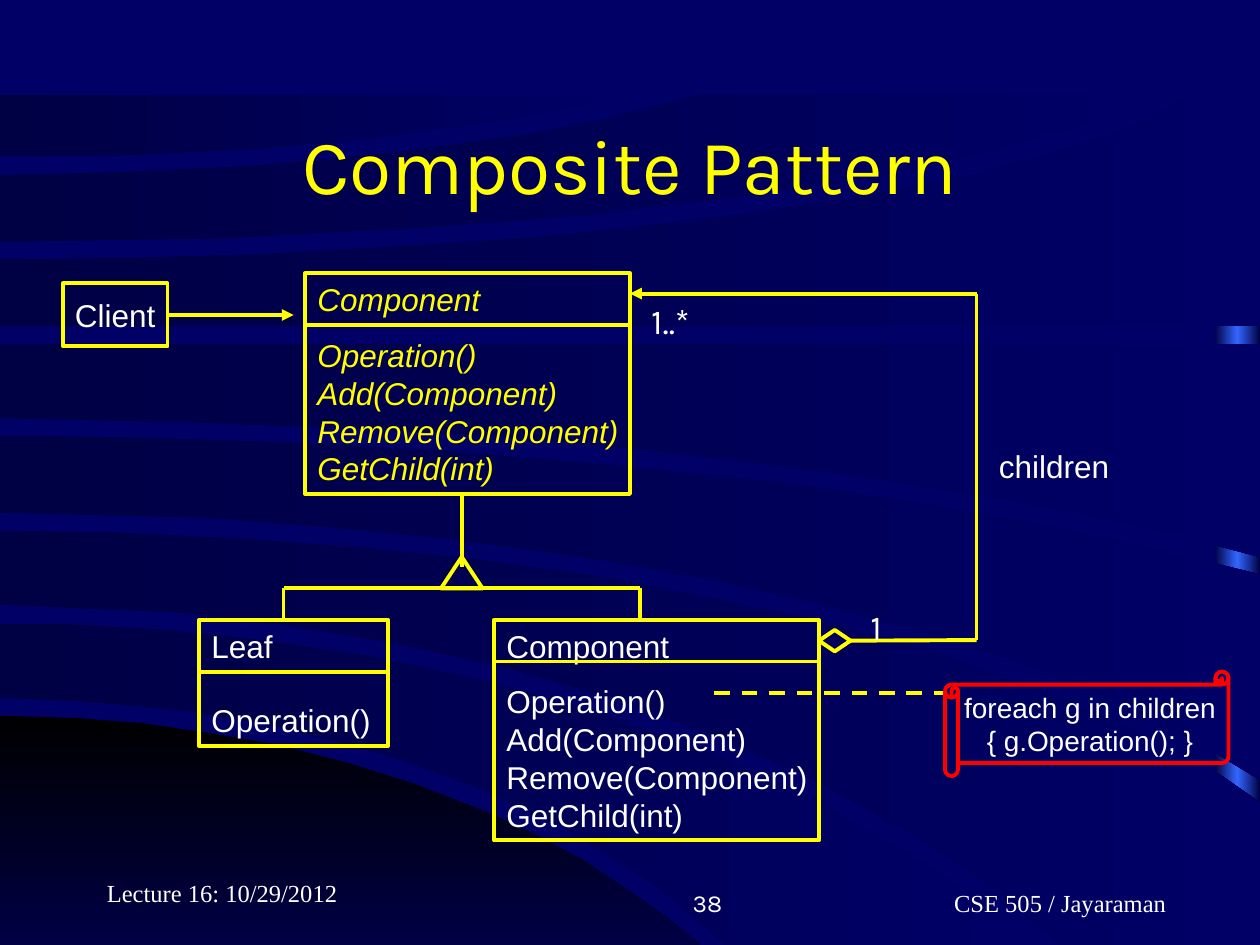
from copy import deepcopy
from dataclasses import dataclass

from lxml import etree
from pptx import Presentation
from pptx.dml.color import RGBColor
from pptx.enum.dml import MSO_LINE
from pptx.enum.shapes import MSO_CONNECTOR, MSO_SHAPE
from pptx.enum.text import MSO_ANCHOR, PP_ALIGN
from pptx.oxml.ns import qn
from pptx.util import Inches, Pt

LEFT, MID, RIGHT = PP_ALIGN.LEFT, PP_ALIGN.CENTER, PP_ALIGN.RIGHT
TOP, CENTRE, BASE = MSO_ANCHOR.TOP, MSO_ANCHOR.MIDDLE, MSO_ANCHOR.BOTTOM
RECT, SCROLL = MSO_SHAPE.RECTANGLE, MSO_SHAPE.HORIZONTAL_SCROLL
HEIR, DIAMOND = MSO_SHAPE.FLOWCHART_EXTRACT, MSO_SHAPE.FLOWCHART_DECISION
STRAIGHT, DASH = MSO_CONNECTOR.STRAIGHT, MSO_LINE.DASH


@dataclass(frozen=True)
class Theme:
    back: str = "000066"
    deep: str = "000044"
    glow: str = "3366FF"
    black: str = "000000"
    ink: str = "FFFFFF"
    accent: str = "FFFF00"
    alert: str = "FF0000"
    sans: str = "Arial"
    head: str = "Karla"
    serif: str = "Times New Roman"
    title: int = 44
    mark: int = 20
    body: int = 18
    note: int = 16
    foot: int = 14
    line: float = 2.25


T = Theme()
METHODS = ["Operation()", "Add(Component)", "Remove(Component)", "GetChild(int)"]

HILL = [(0, 7.5), (0, 5.68), (0.62, 5.7), (1.13, 5.74), (1.66, 5.82), (2.19, 5.91),
        (2.77, 6.06), (3.28, 6.22), (3.87, 6.45), (4.26, 6.63), (4.63, 6.83),
        (4.96, 7.05), (5.29, 7.28), (5.56, 7.5)]
BANDS = [
    [(0, 4.95), (0.44, 4.95), (1.31, 5), (2.07, 5.08), (2.95, 5.21), (3.83, 5.4),
     (4.73, 5.65), (5.62, 5.97), (6.45, 6.34), (7.28, 6.81), (7.67, 7.07),
     (8.03, 7.35), (8.2, 7.5), (5.77, 7.5), (5.24, 7.05), (4.55, 6.61),
     (3.77, 6.24), (3.07, 5.99), (2.22, 5.77), (1.49, 5.64), (0.6, 5.56), (0, 5.54)],
    [(0, 4.21), (0.98, 4.23), (1.96, 4.28), (2.9, 4.35), (3.85, 4.45), (4.76, 4.58),
     (5.71, 4.76), (6.57, 4.95), (7.39, 5.17), (8.19, 5.45), (9.05, 5.81),
     (9.7, 6.16), (10, 6.37), (10, 7.5), (8.42, 7.5), (7.81, 6.99), (7.21, 6.6),
     (6.37, 6.14), (5.62, 5.82), (4.83, 5.53), (4.06, 5.31), (3.12, 5.1),
     (2.22, 4.95), (1.41, 4.86), (0, 4.8)],
    [(0, 3.46), (0.9, 3.47), (2.2, 3.51), (3.51, 3.58), (4.8, 3.69), (6.17, 3.83),
     (7.15, 3.97), (8.17, 4.15), (9.06, 4.33), (10, 4.56), (10, 6.19), (9.52, 5.9),
     (8.82, 5.54), (8.18, 5.29), (7.44, 5.04), (6.42, 4.77), (5.61, 4.59),
     (4.64, 4.42), (3.52, 4.27), (2.56, 4.18), (1.68, 4.11), (0, 4.07)],
    [(0, 2.73), (10, 2.73), (10, 4.42), (9.16, 4.2), (8.14, 3.99), (7.03, 3.81),
     (6.08, 3.68), (5.03, 3.56), (3.9, 3.46), (2.79, 3.4), (1.48, 3.35), (0, 3.32)],
    [(0, 2.06), (0.94, 2.05), (2.04, 2.02), (3.3, 1.95), (4.21, 1.89), (5.09, 1.8),
     (5.98, 1.69), (6.85, 1.56), (7.72, 1.39), (8.36, 1.21), (8.93, 1.03),
     (9.21, 0.9), (9.44, 0.75), (10, 0.75), (10, 2.59), (0, 2.59)],
    [(0, 1.39), (0.88, 1.37), (1.98, 1.32), (3.09, 1.22), (4.17, 1.07), (4.83, 0.94),
     (5.57, 0.75), (9.18, 0.75), (8.55, 1.01), (7.73, 1.23), (6.84, 1.42),
     (5.78, 1.57), (4.7, 1.7), (3.42, 1.8), (1.78, 1.89), (0, 1.92)],
    [(0, 0.75), (5.02, 0.75), (4.01, 0.95), (2.9, 1.1), (2.03, 1.18), (1.02, 1.23),
     (0, 1.24)],
]


def rgb(code):
    return RGBColor.from_string(code)


def blend(shape, codes, angle=0):
    """Fill with evenly spaced gradient colours and no outline."""
    shape.shadow.inherit = False
    shape.line.fill.background()
    shape.fill.gradient()
    shape.fill.gradient_angle = angle
    stops = shape._element.spPr.find(".//" + qn("a:gsLst"))
    for _ in codes[2:]:
        stops.append(deepcopy(stops[0]))
    for i, (stop, code) in enumerate(zip(shape.fill.gradient_stops, codes)):
        stop.position = i / (len(codes) - 1)
        stop.color.rgb = rgb(code)


def outline(slide, points):
    pairs = [(Inches(x), Inches(y)) for x, y in points]
    pen = slide.shapes.build_freeform(*pairs[0])
    pen.add_line_segments(pairs[1:])
    return pen.convert_to_shape()


def backdrop(slide):
    slide.background.fill.solid()
    slide.background.fill.fore_color.rgb = rgb(T.back)
    edge = slide.shapes.add_shape(RECT, Inches(9.64), Inches(0.77), Inches(0.36), Inches(6.73))
    blend(edge, [T.deep, T.glow, T.deep])
    blend(outline(slide, HILL), [T.black, T.deep], 270)
    for band in BANDS:
        blend(outline(slide, band), [T.deep, T.back])


def write(shape, lines, size, font=T.sans, color=T.ink, align=LEFT, anchor=CENTRE,
          wrap=False, italic=False):
    frame = shape.text_frame
    frame.text = "\n".join(lines)
    frame.word_wrap = wrap
    frame.vertical_anchor = anchor
    for para in frame.paragraphs:
        para.alignment = align
        for run in para.runs:
            run.font.size, run.font.name = Pt(size), font
            run.font.color.rgb, run.font.italic = rgb(color), italic


def label(slide, box, text, size, **look):
    area = slide.shapes.add_textbox(*map(Inches, box))
    write(area, [text], size, **look)


def frame(slide, box, kind=RECT, color=T.accent):
    shape = slide.shapes.add_shape(kind, *map(Inches, box))
    shape.shadow.inherit = False
    shape.fill.background()
    shape.line.color.rgb = rgb(color)
    shape.line.width = Pt(T.line)
    return shape


def link(slide, start, end, arrow=False, dash=False):
    wire = slide.shapes.add_connector(STRAIGHT, *map(Inches, start + end))
    wire.line.color.rgb = rgb(T.accent)
    wire.line.width = Pt(T.line)
    if dash:
        wire.line.dash_style = DASH
    if arrow:
        etree.SubElement(wire.line._get_or_add_ln(), qn("a:tailEnd"), type="triangle")
    etree.SubElement(wire._element.spPr, qn("a:effectLst"))
    return wire


def entity(slide, box, name, methods, head, gap, **look):
    """Class box: a name, a dividing line, then methods after a gap in points."""
    x, y, w, _ = box
    shape = frame(slide, box)
    write(shape, [name] + methods, T.body, **look)
    shape.text_frame.paragraphs[1].space_before = Pt(gap)
    link(slide, (x, y + head), (x + w, y + head))


def diagram(slide, box):
    x, y = box[:2]

    def at(dx, dy):
        return x + dx, y + dy

    entity(slide, (*at(1.92, 0), 2.58, 1.75), "Component", METHODS, 0.41, 10.3,
           color=T.accent, italic=True)
    entity(slide, (*at(3.42, 2.75), 2.58, 1.75), "Component", METHODS, 0.33, 10.3)
    entity(slide, (*at(1.08, 2.75), 1.5, 1), "Leaf", METHODS[:1], 0.41, 20.7)

    client = frame(slide, (*at(0, 0.08), 0.83, 0.5))
    write(client, ["Client"], T.body, align=MID)
    link(slide, at(0.83, 0.33), at(1.83, 0.33), arrow=True).begin_connect(client, 3)

    for dx in (1.75, 4.58):
        link(slide, at(dx, 2.5), at(dx, 2.75))
    link(slide, at(1.75, 2.5), at(4.58, 2.5))
    frame(slide, (*at(3, 2.25), 0.33, 0.25), HEIR)
    link(slide, at(3.17, 2.33), at(3.17, 1.75))

    link(slide, at(7.25, 0.16), at(4.5, 0.16), arrow=True)
    link(slide, at(7.25, 0.16), at(7.25, 2.91))
    whole = frame(slide, (*at(6, 2.83), 0.25, 0.17), DIAMOND)
    link(slide, at(7.25, 2.91), at(6.25, 2.91)).end_connect(whole, 3)
    label(slide, (*at(7.33, 1.33), 1.42, 0.4), "children", T.body, anchor=TOP, wrap=True)
    label(slide, (*at(6.31, 2.59), 0.36, 0.44), "1", T.mark, font=T.head, anchor=TOP)
    label(slide, (*at(4.57, 0.16), 0.66, 0.44), "1..*", T.mark, font=T.head, anchor=TOP)

    link(slide, at(5.17, 3.33), at(7, 3.33), dash=True)
    note = frame(slide, (*at(7, 3.16), 2.25, 0.83), SCROLL, T.alert)
    write(note, ["foreach g in children", "{ g.Operation(); }"], T.note, align=MID)


def footer(slide, box):
    x, y, w, h = box
    look = dict(anchor=BASE, wrap=True)
    label(slide, (x, y, 2.08, h), "Lecture 16: 10/29/2012", T.foot, font=T.serif, **look)
    label(slide, (x + 3, y + 0.08, 2.08, h), "38", T.foot, font=T.head, align=RIGHT, **look)
    label(slide, (x + w - 3.17, y + 0.08, 3.17, h), "\tCSE 505 / Jayaraman", T.foot,
          font=T.serif, align=MID, **look)


def main():
    deck = Presentation()
    deck.slide_width, deck.slide_height = Inches(10), Inches(7.5)
    slide = deck.slides.add_slide(deck.slide_layouts[6])
    backdrop(slide)
    label(slide, (0.75, 0.67, 8.5, 1.25), "Composite Pattern", T.title, font=T.head,
          color=T.accent, align=MID, wrap=True)
    diagram(slide, (0.5, 2.17, 9.25, 4.5))
    footer(slide, (0.75, 6.75, 9, 0.5))
    deck.save("out.pptx")


if __name__ == "__main__":
    main()
